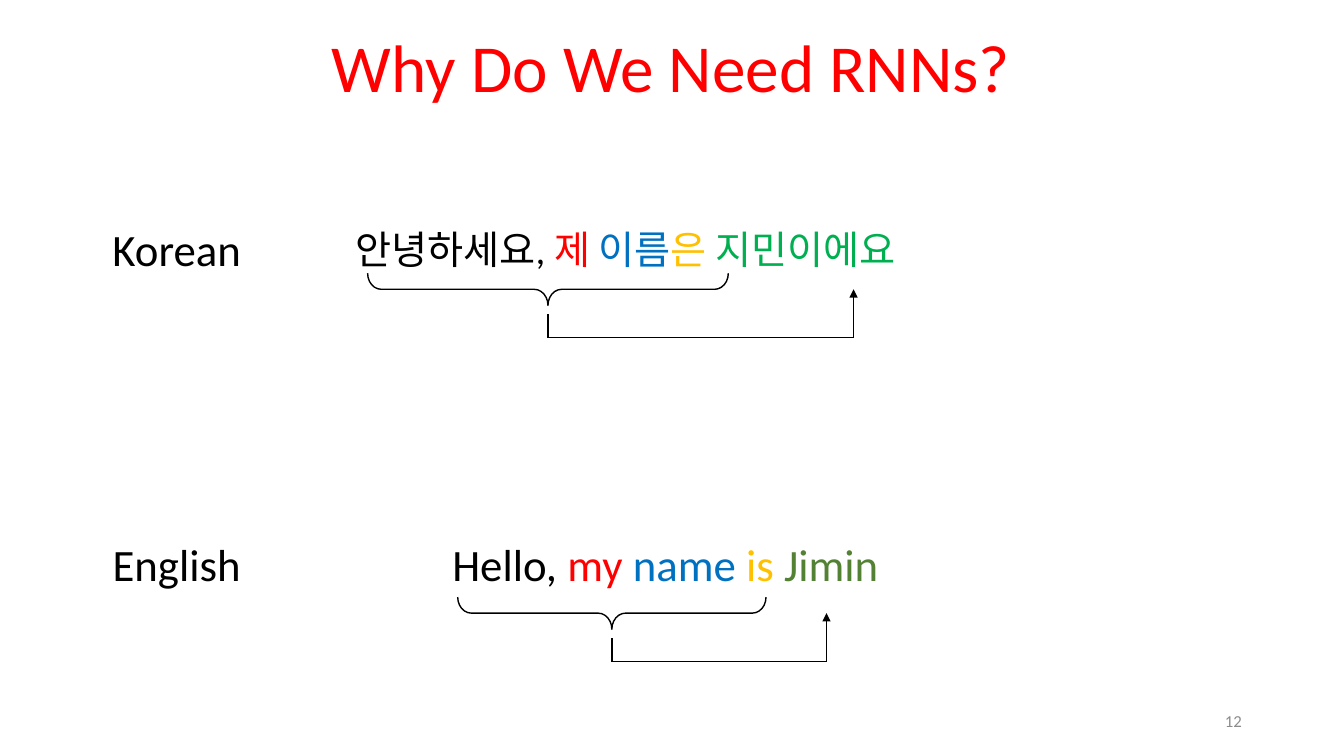
from dataclasses import dataclass

from lxml.etree import SubElement
from pptx import Presentation
from pptx.dml.color import RGBColor
from pptx.enum.shapes import MSO_CONNECTOR, MSO_SHAPE
from pptx.enum.text import MSO_ANCHOR, MSO_AUTO_SIZE, PP_ALIGN
from pptx.oxml.ns import qn
from pptx.util import Cm, Pt


@dataclass(frozen=True)
class Theme:
    """Colours, type sizes and line width of the slide."""
    font: str = "Calibri"
    black: str = "000000"
    red: str = "FF0000"
    blue: str = "0070C0"
    amber: str = "FFC000"
    green: str = "00B050"
    olive: str = "548235"
    gray: str = "8C8C8C"
    title: int = 48
    body: int = 32
    korean: int = 28
    number: int = 12
    line: int = 1


THEME = Theme()


def apply_format(target, values):
    """Set each named attribute of the target."""
    for name, value in values.items():
        setattr(target, name, value)


def add_text(page, bounds, spans, size, frame_format=None, para_format=None):
    """Add a one-paragraph text box made of (text, colour) spans."""
    box = page.shapes.add_textbox(*map(Cm, bounds))
    apply_format(box.text_frame, {"word_wrap": True, **(frame_format or {})})
    para = box.text_frame.paragraphs[0]
    apply_format(para, para_format or {})
    for text, color in spans:
        span = para.add_run()
        span.text = text
        apply_format(span.font, {"name": THEME.font, "size": Pt(size)})
        span.font.color.rgb = RGBColor.from_string(color)


def style_line(line):
    """Give a line the diagram's colour and width."""
    line.color.rgb = RGBColor.from_string(THEME.black)
    line.width = Pt(THEME.line)


def add_brace(page, center, middle, length):
    """Add a brace lying under a phrase and pointing down."""
    depth = 0.81
    brace = page.shapes.add_shape(
        MSO_SHAPE.LEFT_BRACE, Cm(center - depth / 2), Cm(middle - length / 2), Cm(depth), Cm(length))
    brace.rotation = 270
    brace.adjustments[0] = 0.426
    brace.shadow.inherit = False
    brace.fill.background()
    style_line(brace.line)


def add_segment(page, start, end, arrow=False):
    """Add a straight line, with an arrowhead at its end if asked."""
    segment = page.shapes.add_connector(MSO_CONNECTOR.STRAIGHT, *map(Cm, (*start, *end)))
    style_line(segment.line)
    if arrow:
        SubElement(segment.line._get_or_add_ln(), qn("a:tailEnd"), type="triangle")
    SubElement(segment._element.spPr, qn("a:effectLst"))


def add_dependency(page, center, top, length, target):
    """Add a brace and the elbow arrow leading to the predicted word."""
    base = top + 1.22
    add_brace(page, center, top, length)
    add_segment(page, (target, base), (target, top), arrow=True)
    add_segment(page, (center, base), (target, base))
    add_segment(page, (center, base), (center, top + 0.62))


def add_label(page, top, text):
    """Add a language name at the left."""
    add_text(page, (2.46, top, 3.99, 1.63), [(text, THEME.black)], THEME.body,
             {"auto_size": MSO_AUTO_SIZE.SHAPE_TO_FIT_TEXT}, {"alignment": PP_ALIGN.CENTER})


def add_sentence(page, bounds, words, last_color, size):
    """Add a sentence whose words are coloured by their role."""
    colors = (THEME.black, THEME.red, THEME.blue, THEME.amber, last_color)
    add_text(page, bounds, zip(words, colors), size,
             {"auto_size": MSO_AUTO_SIZE.SHAPE_TO_FIT_TEXT})


def main():
    """Build the slide and save the deck."""
    deck = Presentation()
    apply_format(deck, {"slide_width": Cm(33.87), "slide_height": Cm(19.05)})
    page = deck.slides.add_slide(deck.slide_layouts[6])

    add_text(page, (2.31, 0.05, 29.21, 2.77), [("Why Do We Need RNNs?", THEME.red)], THEME.title,
             {"vertical_anchor": MSO_ANCHOR.BOTTOM},
             {"alignment": PP_ALIGN.CENTER, "line_spacing": 0.9})

    add_label(page, 5.46, "Korean")
    add_sentence(page, (8.71, 5.56, 16.38, 1.45),
                 ("안녕하세요, ", "제 ", "이름", "은 ", "지민이에요"), THEME.green, THEME.korean)
    add_dependency(page, center=13.81, top=7.29, length=9.09, target=21.51)

    add_label(page, 13.41, "English")
    add_sentence(page, (11.15, 13.41, 11.56, 1.63),
                 ("Hello, ", "my ", "name ", "is ", "Jimin"), THEME.olive, THEME.body)
    add_dependency(page, center=15.42, top=15.45, length=7.77, target=20.83)

    add_text(page, (23.93, 17.65, 7.62, 1.02), [("12", THEME.gray)], THEME.number,
             {"vertical_anchor": MSO_ANCHOR.MIDDLE}, {"alignment": PP_ALIGN.RIGHT})
    deck.save("out.pptx")


if __name__ == "__main__":
    main()
